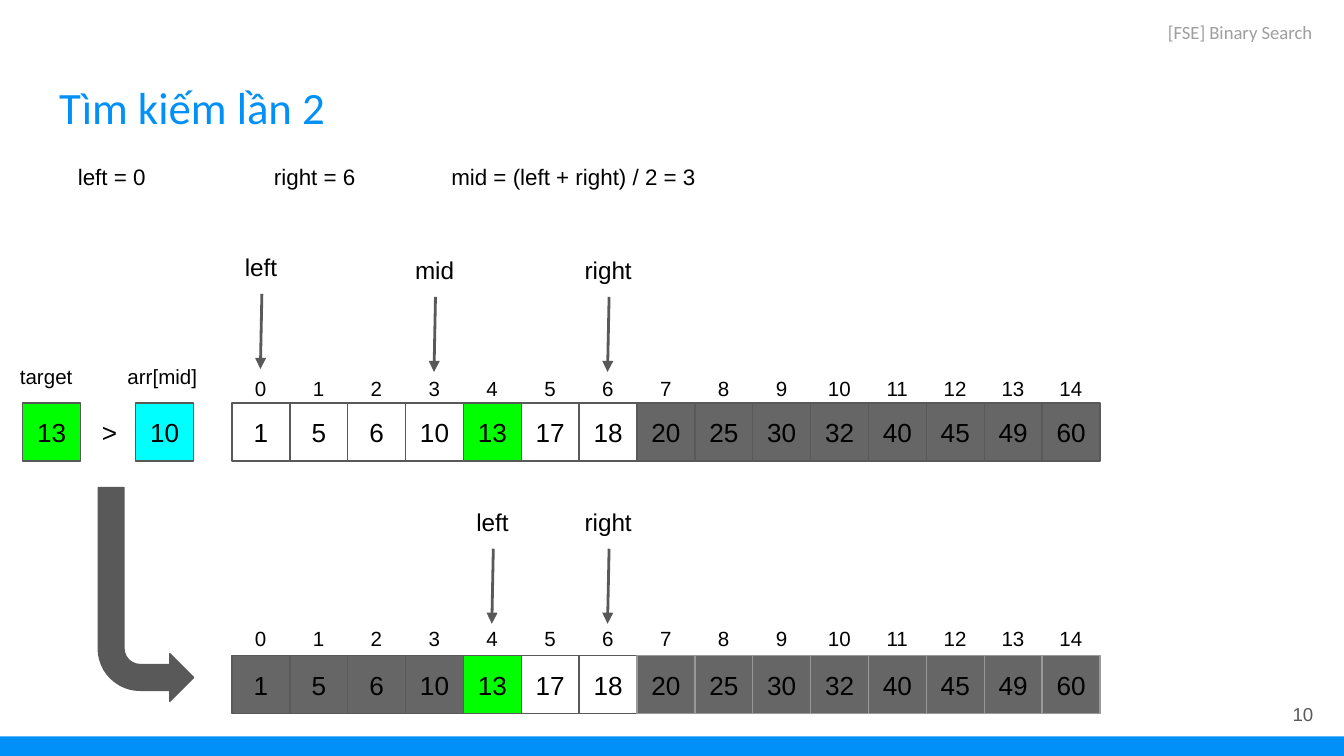
"""Builds the slide for the second step of a binary search."""
from dataclasses import dataclass

from lxml.etree import SubElement
from pptx import Presentation
from pptx.dml.color import RGBColor
from pptx.enum.shapes import MSO_CONNECTOR, MSO_SHAPE
from pptx.enum.text import MSO_ANCHOR, PP_ALIGN
from pptx.oxml.ns import qn
from pptx.util import Pt


@dataclass(frozen=True)
class Theme:
    blue: str = "0090F8"
    black: str = "000000"
    white: str = "FFFFFF"
    green: str = "00FF00"
    cyan: str = "00FFFF"
    dim: str = "666666"
    edge: str = "595959"
    pale: str = "999999"
    faint: str = "9E9E9E"
    sans: str = "Arial"
    head: str = "Calibri"
    title: int = 24
    cell: int = 14
    word: int = 13
    fact: int = 12
    label: int = 11
    small: int = 10


class Board:
    def __init__(self, slide, theme):
        self.slide = slide
        self.theme = theme

    def letter(self, shape, text, size, color=None, font=None,
               align=PP_ALIGN.LEFT, anchor=MSO_ANCHOR.TOP):
        frame = shape.text_frame
        frame.text = text
        frame.word_wrap = True
        frame.vertical_anchor = anchor
        frame.margin_left = frame.margin_right = Pt(7.2)
        frame.margin_top = frame.margin_bottom = Pt(7.2)
        line = frame.paragraphs[0]
        line.alignment = align
        for run in line.runs:
            run.font.size = Pt(size)
            run.font.name = font or self.theme.sans
            run.font.color.rgb = RGBColor.from_string(color or self.theme.black)
        return line

    def title(self, text, *box):
        shape = self.slide.shapes.title
        shape.left, shape.top, shape.width, shape.height = map(Pt, box)
        self.letter(shape, text, self.theme.title, self.theme.blue, self.theme.head)

    def text(self, text, box, size, **style):
        shape = self.slide.shapes.add_textbox(*map(Pt, box))
        return self.letter(shape, text, size, **style)

    def shape(self, kind, box, fill, edge=None):
        shape = self.slide.shapes.add_shape(kind, *map(Pt, box))
        shape.shadow.inherit = False
        shape.fill.solid()
        shape.fill.fore_color.rgb = RGBColor.from_string(fill)
        if edge:
            shape.line.color.rgb = RGBColor.from_string(edge)
            shape.line.width = Pt(0.75)
        else:
            shape.line.fill.background()
        return shape

    def cell(self, text, left, top, fill, edge=None):
        box = (left, top, SIDE, SIDE)
        shape = self.shape(MSO_SHAPE.RECTANGLE, box, fill, edge or self.theme.edge)
        self.letter(shape, text, self.theme.cell, align=PP_ALIGN.CENTER,
                    anchor=MSO_ANCHOR.MIDDLE)

    def row(self, top, fills, edges):
        for spot, (value, fill, edge) in enumerate(zip(VALUES, fills, edges)):
            self.cell(str(value), LEFT + spot * SIDE, top, fill, edge)

    def scale(self, top):
        count = len(VALUES)
        text = "".join(f"\t{spot}" for spot in range(count))
        line = self.text(text, (LEFT, top, count * SIDE, 28), self.theme.label)
        tabs = SubElement(line._p.get_or_add_pPr(), qn("a:tabLst"))
        for spot in range(count):
            place = Pt((spot + 0.5) * SIDE - 7.2)
            SubElement(tabs, qn("a:tab"), pos=str(int(place)), algn="ctr")

    def arrow(self, *ends):
        line = self.slide.shapes.add_connector(MSO_CONNECTOR.STRAIGHT, *map(Pt, ends))
        line.line.color.rgb = RGBColor.from_string(self.theme.edge)
        line.line.width = Pt(1.5)
        SubElement(line.line._get_or_add_ln(), qn("a:tailEnd"), type="triangle")
        SubElement(line._element.spPr, qn("a:effectLst"))

    def mark(self, word, spot, top):
        mid = LEFT + (spot + 0.5) * SIDE
        self.arrow(mid + 0.5, top + 29.5, mid - 0.3, top + 69.7)
        self.text(word, (mid - 25.5, top, 51, 30), self.theme.word,
                  align=PP_ALIGN.CENTER)

    def bend(self, *box):
        shape = self.shape(MSO_SHAPE.BENT_ARROW, box, self.theme.edge, self.theme.edge)
        for spot, value in enumerate((0.27, 0.25, 0.25, 0.44)):
            shape.adjustments[spot] = value
        shape.rotation = 180
        shape._element.spPr.find(qn("a:xfrm")).set("flipH", "1")


VALUES = (1, 5, 6, 10, 13, 17, 18, 20, 25, 30, 32, 40, 45, 49, 60)
LEFT, SIDE = 124.3, 31


def main():
    deck = Presentation()
    deck.slide_width, deck.slide_height = Pt(720), Pt(405)
    theme = Theme()
    board = Board(deck.slides.add_slide(deck.slide_layouts[5]), theme)

    board.title("Tìm kiếm lần 2", 24.5, 35.3, 671, 45.4)
    board.shape(MSO_SHAPE.RECTANGLE, (0, 394.5, 720, 10.5), theme.blue)
    board.text("10", (667.4, 367.2, 43.2, 31), theme.small, color=theme.edge,
               align=PP_ALIGN.RIGHT, anchor=MSO_ANCHOR.MIDDLE)
    board.text("[FSE] Binary Search", (567.4, 5, 142.6, 51), theme.small,
               color=theme.faint, font=theme.head, align=PP_ALIGN.RIGHT)

    facts = (("left = 0", 34.6, 85), ("right = 6", 139.7, 85),
             ("mid = (left + right) / 2 = 3", 234.7, 174))
    for text, left, width in facts:
        board.text(text, (left, 80, width, 29), theme.fact)

    first = [theme.white] * 4 + [theme.green] + [theme.white] * 2 + [theme.dim] * 8
    board.row(216, first, [theme.edge] * 15)
    board.scale(195)
    after = [theme.dim] * 4 + first[4:]
    board.row(351.3, after, [theme.edge] * 7 + [theme.pale] * 8)
    board.scale(328.8)

    marks = (("left", 0, 128), ("mid", 3, 129.6), ("right", 6, 129.6),
             ("left", 4, 264.5), ("right", 6, 264.5))
    for word, spot, top in marks:
        board.mark(word, spot, top)

    board.cell("13", 12.2, 216, theme.green)
    board.cell("10", 72.7, 216, theme.cyan)
    board.text(">", (43.2, 216, 31, 31.7), theme.cell, align=PP_ALIGN.CENTER)
    board.text("target", (3.6, 188.6, 44, 28), theme.label)
    board.text("arr[mid]", (61.2, 188.6, 55, 28), theme.label)
    board.bend(52.6, 261.2, 51.1, 114.5)
    deck.save("out.pptx")


if __name__ == "__main__":
    main()
